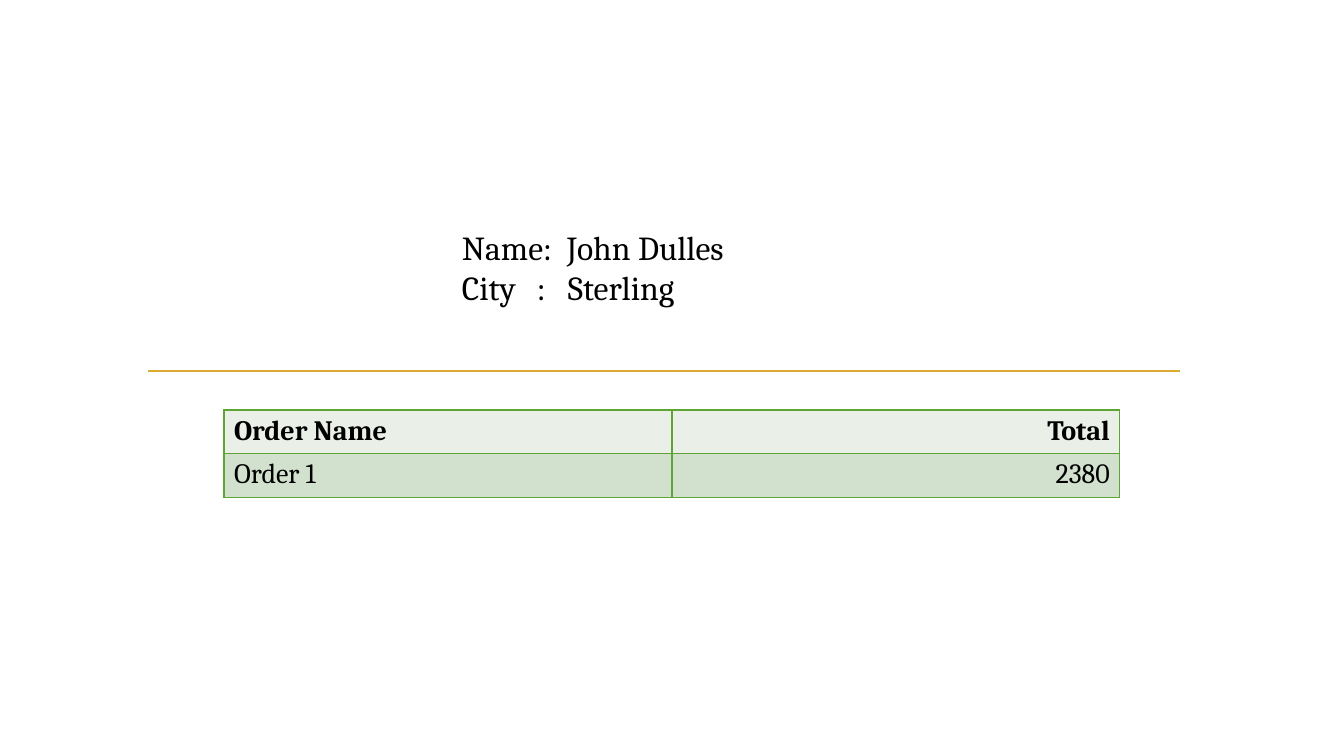
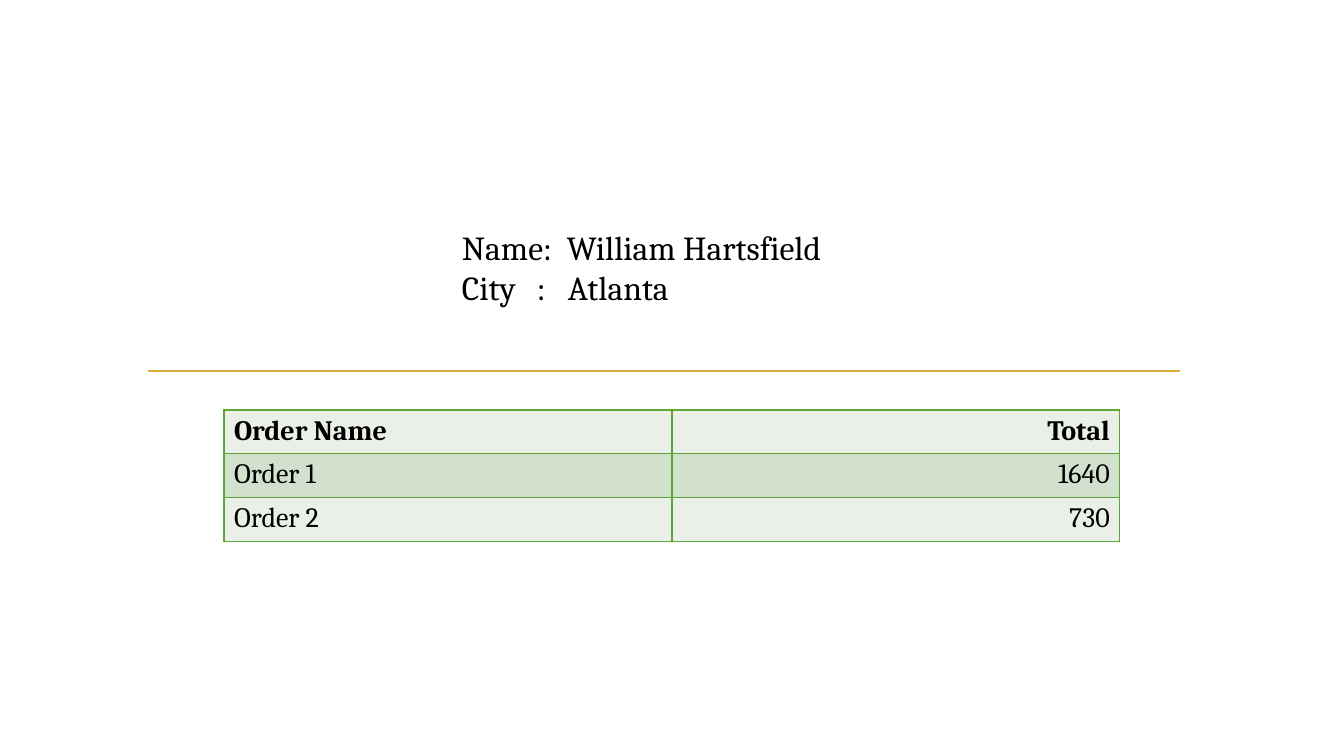
from lxml.etree import SubElement
from pptx import Presentation
from pptx.dml.color import RGBColor
from pptx.enum.shapes import MSO_CONNECTOR
from pptx.enum.text import PP_ALIGN
from pptx.oxml.ns import qn
from pptx.util import Emu, Pt

FONT = "Cambria"
BLACK, GOLD, GREEN = "000000", "DCAB34", "5FA534"
BANDS = ("EAF0E8", "D2E1CE")
HEADER = ("Order Name", "Total")
ALIGNS = (PP_ALIGN.LEFT, PP_ALIGN.RIGHT)

# Boxes: left, top, width, height in px
SLIDE = (0, 0, 1344, 756)
CUSTOMER_BOX = (452, 222, 472, 132)
RULE_BOX = (148, 371, 1032, 0)
ORDERS_BOX = (224, 410, 896)
ROW_HEIGHT = 41

CUSTOMERS = [
    ("John Dulles", "Sterling", [("Order 1", "2380")]),
    ("William Hartsfield", "Atlanta", [("Order 1", "1640"), ("Order 2", "730")]),
]


def px(n):
    return Emu(round(n * 914400 / 100.8))


def color(hex_code):
    return RGBColor.from_string(hex_code)


def write(p, text, **fmt):
    r = p.add_run()
    r.text = text
    r.font.color.rgb = color(BLACK)
    for name, value in {"name": FONT, **fmt}.items():
        setattr(r.font, name, value)


def set_tabs(p, stops):
    tabs = SubElement(p._p.get_or_add_pPr(), qn("a:tabLst"))
    for stop in stops:
        SubElement(tabs, qn("a:tab"), pos=str(px(stop)), algn="l")


def add_customer(s, box, name, city):
    tf = s.shapes.add_textbox(*map(px, box)).text_frame
    tf.word_wrap = True
    lines = [(f"Name:\t{name}", [105]), (f"City\t:\t{city}", [75, 106])]
    for i, (text, stops) in enumerate(lines):
        p = tf.add_paragraph() if i else tf.paragraphs[0]
        set_tabs(p, stops)
        write(p, text, size=Pt(24))


def add_rule(s, box):
    x, y, w, h = box
    rule = s.shapes.add_connector(
        MSO_CONNECTOR.STRAIGHT, px(x), px(y), px(x + w), px(y + h))
    rule.line.color.rgb = color(GOLD)
    rule.line.width = Pt(1.75)
    SubElement(rule._element.spPr, qn("a:effectLst"))


def set_borders(cell):
    tc_pr = cell._tc.get_or_add_tcPr()
    for side in ("lnL", "lnR", "lnT", "lnB"):
        ln = SubElement(tc_pr, qn(f"a:{side}"), w=str(Pt(1)))
        fill = SubElement(ln, qn("a:solidFill"))
        SubElement(fill, qn("a:srgbClr"), val=GREEN)


def add_orders(s, box, orders):
    x, y, w = box
    rows = [HEADER, *orders]
    table = s.shapes.add_table(
        len(rows), len(HEADER), px(x), px(y), px(w),
        px(ROW_HEIGHT * len(rows))).table
    for i, values in enumerate(rows):
        table.rows[i].height = px(ROW_HEIGHT)
        for j, value in enumerate(values):
            cell = table.cell(i, j)
            # Borders come before the fill in the cell properties
            set_borders(cell)
            cell.fill.solid()
            cell.fill.fore_color.rgb = color(BANDS[i % 2])
            p = cell.text_frame.paragraphs[0]
            p.alignment = ALIGNS[j]
            write(p, value, size=Pt(20), bold=i == 0)


def add_customer_slide(prs, name, city, orders):
    s = prs.slides.add_slide(prs.slide_layouts[6])
    add_customer(s, CUSTOMER_BOX, name, city)
    add_rule(s, RULE_BOX)
    add_orders(s, ORDERS_BOX, orders)


def main():
    prs = Presentation()
    prs.slide_width, prs.slide_height = map(px, SLIDE[2:])
    for customer in CUSTOMERS:
        add_customer_slide(prs, *customer)
    prs.save("out.pptx")


if __name__ == "__main__":
    main()
